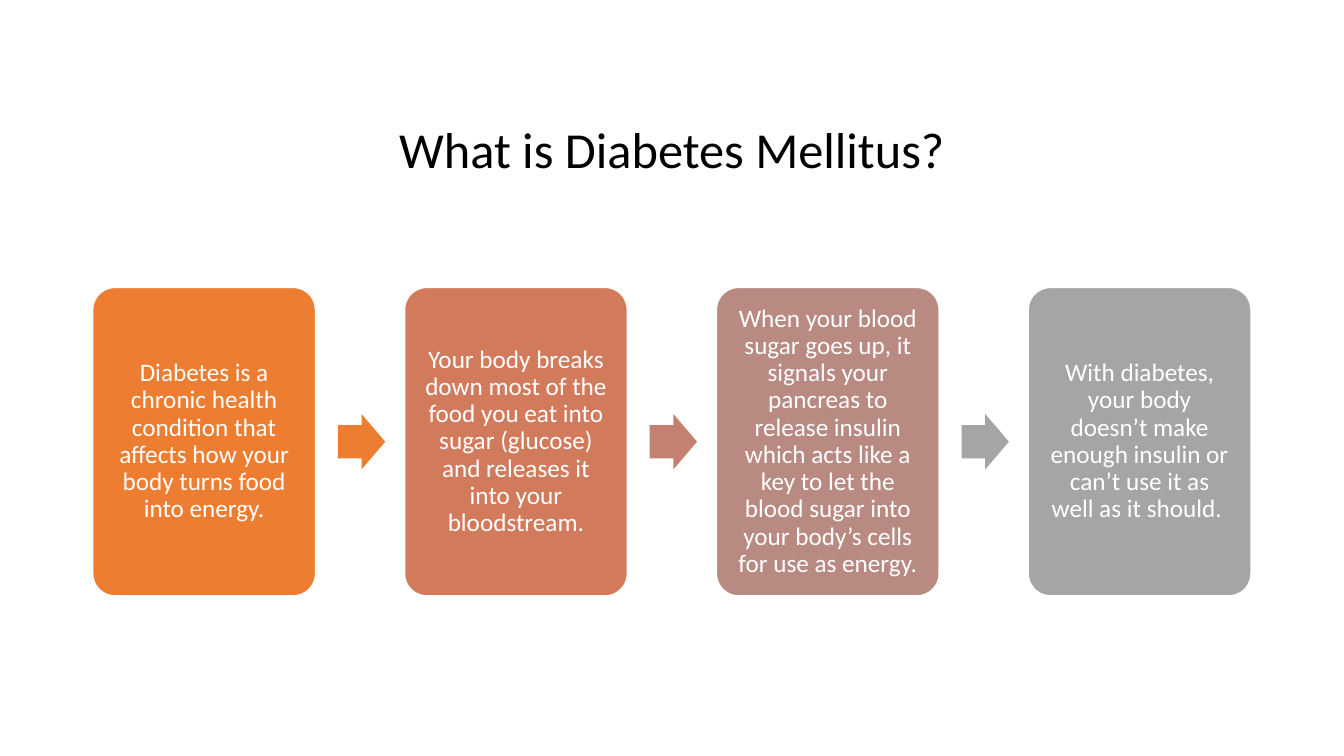
from dataclasses import dataclass
from typing import Optional

from pptx import Presentation
from pptx.dml.color import RGBColor
from pptx.enum.shapes import MSO_SHAPE
from pptx.enum.text import MSO_ANCHOR, PP_ALIGN
from pptx.shapes.autoshape import Shape
from pptx.slide import Slide
from pptx.text.text import TextFrame
from pptx.util import Pt

# Colours
BLACK = RGBColor(0x00, 0x00, 0x00)
WHITE = RGBColor(0xFF, 0xFF, 0xFF)
ORANGE = RGBColor(0xED, 0x7D, 0x31)
TERRACOTTA = RGBColor(0xD1, 0x7B, 0x5C)
CLAY = RGBColor(0xC4, 0x81, 0x70)
ROSE = RGBColor(0xB9, 0x8A, 0x82)
GRAY = RGBColor(0xA5, 0xA5, 0xA5)

# Layout in points
FIRST_LEFT, STEP_PITCH = 66.24, 222.75
CARD_WIDTH, CARD_HEIGHT = 159.12, 220.32
CARD_MIDDLE = 315.5
CARD_INSET = 9.7
ARROW_OFFSET = 175.1
ARROW_WIDTH, ARROW_HEIGHT = 33.84, 39.6


@dataclass(frozen=True)
class Step:
    text: str
    fill: RGBColor
    arrow_fill: Optional[RGBColor] = None


STEPS = [
    Step("Diabetes is a chronic health condition that affects how your body "
         "turns food into energy.", ORANGE, ORANGE),
    Step("Your body breaks down most of the food you eat into sugar (glucose) "
         "and releases it into your bloodstream.", TERRACOTTA, CLAY),
    Step("When your blood sugar goes up, it signals your pancreas to release "
         "insulin which acts like a key to let the blood sugar into your "
         "body’s cells for use as energy. ", ROSE, GRAY),
    Step("With diabetes, your body doesn’t make enough insulin or can’t use "
         "it as well as it should. ", GRAY),
]


def write_text(frame: TextFrame, text: str, *, size: float, color: RGBColor,
               inset: float, top_inset: float) -> None:
    frame.word_wrap = True
    frame.vertical_anchor = MSO_ANCHOR.MIDDLE
    frame.margin_left = frame.margin_right = frame.margin_bottom = Pt(inset)
    frame.margin_top = Pt(top_inset)
    paragraph = frame.paragraphs[0]
    paragraph.alignment = PP_ALIGN.CENTER
    paragraph.line_spacing = 0.9
    run = paragraph.add_run()
    run.text = text
    run.font.name = "Calibri"
    run.font.size = Pt(size)
    run.font.color.rgb = color


def add_filled_shape(slide: Slide, kind: MSO_SHAPE, left: float, width: float,
                     height: float, fill: RGBColor) -> Shape:
    """Add a filled shape centred on the row of cards."""
    shape = slide.shapes.add_shape(
        kind, Pt(left), Pt(CARD_MIDDLE - height / 2), Pt(width), Pt(height))
    shape.shadow.inherit = False
    shape.fill.solid()
    shape.fill.fore_color.rgb = fill
    shape.line.fill.background()
    return shape


def add_step(slide: Slide, step: Step, left: float) -> None:
    card = add_filled_shape(slide, MSO_SHAPE.ROUNDED_RECTANGLE, left,
                            CARD_WIDTH, CARD_HEIGHT, step.fill)
    card.adjustments[0] = 0.1
    card.line.color.rgb = WHITE
    card.line.width = Pt(1)
    write_text(card.text_frame, step.text, size=18, color=WHITE,
               inset=CARD_INSET, top_inset=CARD_INSET)
    if step.arrow_fill is not None:
        arrow = add_filled_shape(slide, MSO_SHAPE.RIGHT_ARROW, left + ARROW_OFFSET,
                                 ARROW_WIDTH, ARROW_HEIGHT, step.arrow_fill)
        arrow.adjustments[0] = 0.6
        arrow.adjustments[1] = 0.5


def main() -> None:
    presentation = Presentation()
    presentation.slide_width, presentation.slide_height = Pt(960), Pt(540)
    slide = presentation.slides.add_slide(presentation.slide_layouts[5])

    # Title, set low in its box
    title = slide.shapes.title
    title.left, title.top = Pt(66), Pt(44)
    title.width, title.height = Pt(828), Pt(89.5)
    write_text(title.text_frame, "What is Diabetes Mellitus?", size=36,
               color=BLACK, inset=3.6, top_inset=43)

    # Row of steps
    for index, step in enumerate(STEPS):
        add_step(slide, step, FIRST_LEFT + index * STEP_PITCH)

    presentation.save("out.pptx")


if __name__ == "__main__":
    main()
